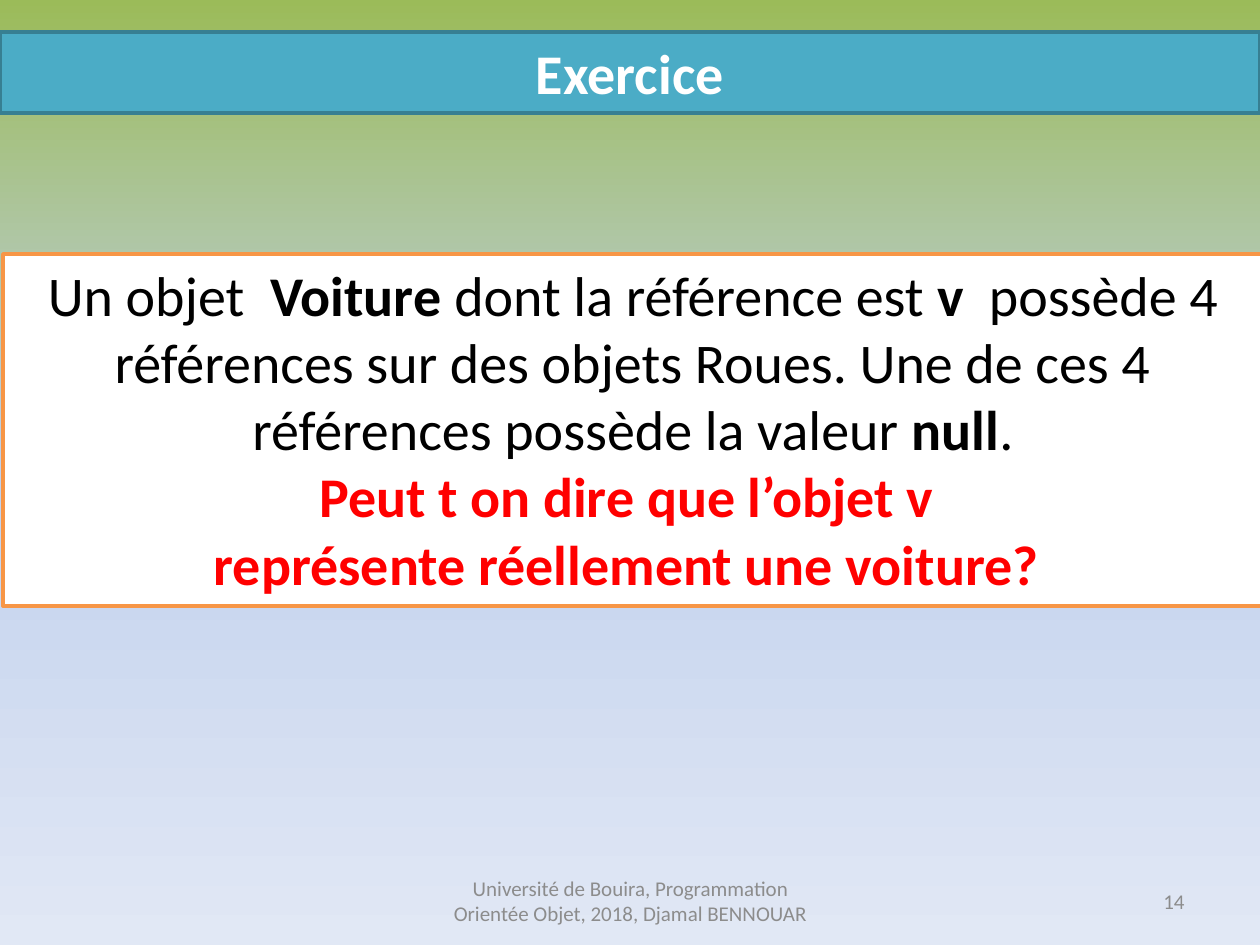
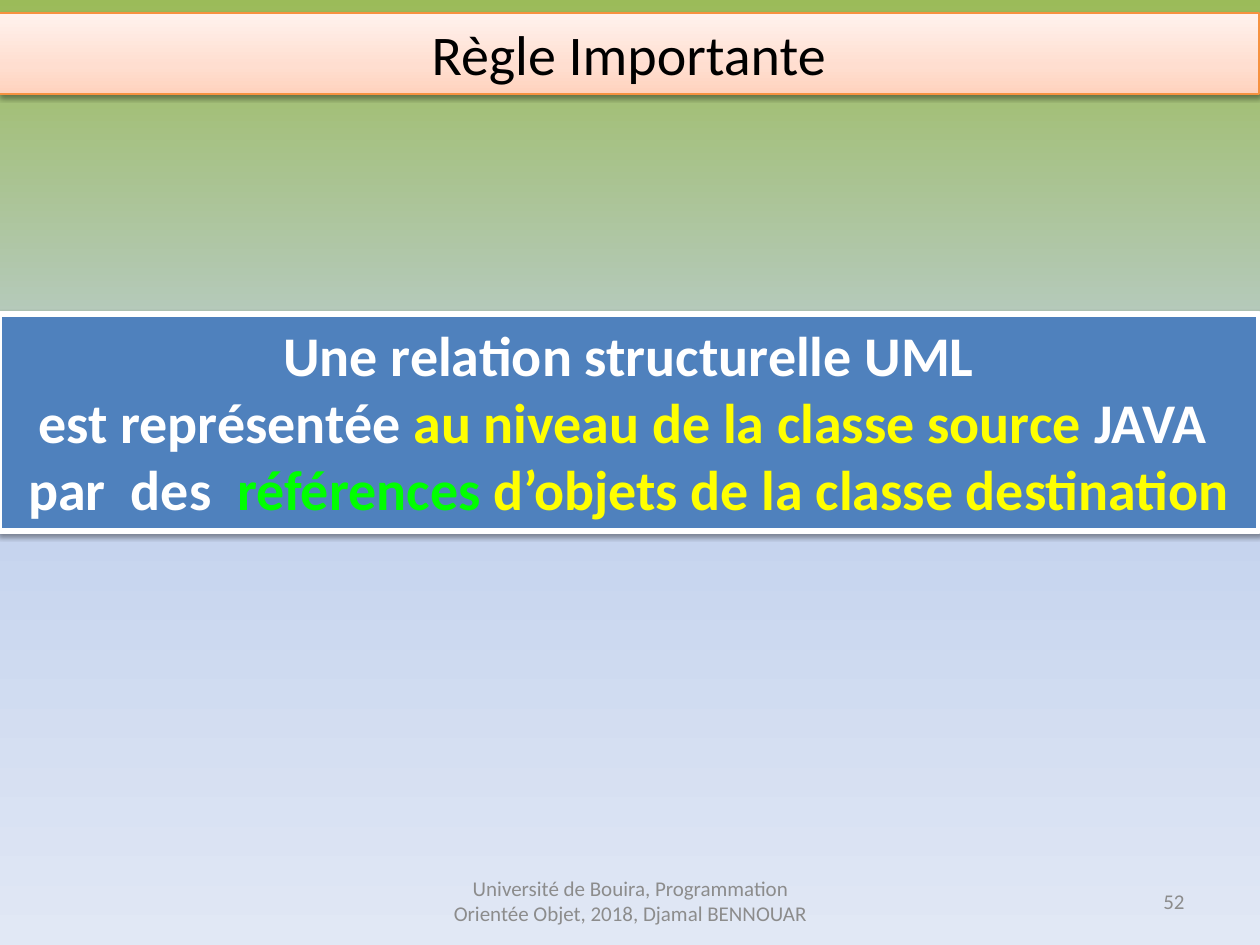
from lxml.etree import SubElement
from pptx import Presentation
from pptx.dml.color import RGBColor
from pptx.enum.shapes import MSO_SHAPE
from pptx.enum.text import MSO_ANCHOR, MSO_AUTO_SIZE, PP_ALIGN
from pptx.oxml.ns import qn
from pptx.util import Emu, Pt

WIDTH, HEIGHT = 1260, 945
BAND_HEIGHT = 81
COLORS = {
    "black": "000000", "white": "FFFFFF", "grey": "8C8C8C",
    "red": "FF0000", "yellow": "FFFF00", "green": "00FF00",
    "teal": "4BACC6", "dark teal": "377F92", "blue": "4F81BD",
    "orange": "F79646", "bright orange": "F69240",
    "meadow": "9BBB59", "sky": "C2D1ED", "mist": "E1E8F5",
    "peach": "FFD2BD", "light peach": "FFDED0", "cream": "FFF2ED",
}
BACKGROUND = [(0, "meadow"), (50, "sky"), (100, "mist")]
PEACH_BAND = [(0, "peach"), (35, "light peach"), (100, "cream")]
FOOTER = "Université de Bouira, Programmation Orientée Objet, 2018, Djamal BENNOUAR"


def px(length):
    return Emu(round(length * 914400 / 126))


def rgb(name):
    return RGBColor.from_string(COLORS[name])


class Deck:
    font = "Calibri"
    text_size = 32
    footer_size = 12

    def __init__(self):
        self.presentation = Presentation()
        self.presentation.slide_width = px(WIDTH)
        self.presentation.slide_height = px(HEIGHT)
        self.page = None

    def add_page(self, number):
        self.page = self.presentation.slides.add_slide(self.presentation.slide_layouts[6])
        self.gradient(self.page.background.fill, self.page.element, BACKGROUND, 270)
        self.footer(431, 399, FOOTER, PP_ALIGN.CENTER)
        self.footer(903, 294, str(number), PP_ALIGN.RIGHT)

    def gradient(self, fill, element, stops, angle):
        """Fill with (percent, colour) stops; the angle runs counter-clockwise."""
        fill.gradient()
        fill.gradient_angle = angle
        stop_list = element.find(".//" + qn("a:gsLst"))
        stop_list.clear()
        for percent, color in stops:
            stop = SubElement(stop_list, qn("a:gs"), pos=str(percent * 1000))
            SubElement(stop, qn("a:srgbClr"), val=COLORS[color])

    def shadow(self, box):
        effects = box.element.spPr.find(qn("a:effectLst"))
        outer = SubElement(effects, qn("a:outerShdw"), blurRad="40000", dist="20000",
                           dir="5400000", rotWithShape="0")
        color = SubElement(outer, qn("a:srgbClr"), val=COLORS["black"])
        SubElement(color, qn("a:alpha"), val="38000")

    def footer(self, left, width, text, align):
        box = self.page.shapes.add_textbox(px(left), px(876), px(width), px(50))
        frame = box.text_frame
        frame.word_wrap = True
        frame.vertical_anchor = MSO_ANCHOR.MIDDLE
        self.paragraph(frame.paragraphs[0], [(text,)], align, self.footer_size, "grey")

    def paragraph(self, para, spans, align, size, color, bold=False):
        """Write spans given as (text, font attributes that differ)."""
        para.alignment = align
        para.font.name = self.font
        para.font.size = Pt(size)
        para.font.bold = bold
        para.font.color.rgb = rgb(color)
        for text, *changes in spans:
            span = para.add_run()
            span.text = text
            for change in changes:
                if change == "bold":
                    span.font.bold = True
                else:
                    span.font.color.rgb = rgb(change)

    def panel(self, left, top, height, fill, line, line_width, lines, shadow=False):
        """Draw a full-width box; each line is (colour, bold, spans)."""
        box = self.page.shapes.add_shape(
            MSO_SHAPE.RECTANGLE, px(left), px(top), px(WIDTH), px(height))
        box.shadow.inherit = False
        if isinstance(fill, list):
            self.gradient(box.fill, box.element, fill, 90)
        else:
            box.fill.solid()
            box.fill.fore_color.rgb = rgb(fill)
        box.line.color.rgb = rgb(line)
        box.line.width = Pt(line_width)
        if shadow:
            self.shadow(box)
        frame = box.text_frame
        frame.word_wrap = True
        frame.auto_size = MSO_AUTO_SIZE.SHAPE_TO_FIT_TEXT
        frame.vertical_anchor = MSO_ANCHOR.TOP
        for index, (color, bold, spans) in enumerate(lines):
            para = frame.add_paragraph() if index else frame.paragraphs[0]
            self.paragraph(para, spans, PP_ALIGN.CENTER, self.text_size, color, bold)


def exercise(deck):
    deck.add_page(14)
    deck.panel(0, 32, BAND_HEIGHT, "teal", "dark teal", 2,
               [("white", True, [("Exercice",)])])
    deck.panel(3, 254, 352, "white", "orange", 2, [
        ("black", False, [
            ("Un objet  ",), ("Voiture", "bold"), (" dont la référence est ",), ("v", "bold"),
            ("  possède 4 références sur des objets Roues. "
             "Une de ces 4 références possède la valeur ",),
            ("null", "bold"), (".",)]),
        ("red", True, [("Peut t on dire que l’objet v ",)]),
        ("red", True, [("représente réellement une voiture? ",)]),
    ])


def important_rule(deck):
    deck.add_page(52)
    deck.panel(-1, 13, BAND_HEIGHT, PEACH_BAND, "bright orange", 0.75,
               [("black", False, [("Règle Importante",)])], shadow=True)
    deck.panel(-1, 314, 217, "blue", "white", 3, [
        ("white", True, [("Une relation structurelle UML",)]),
        ("white", True, [("est représentée ",),
                         ("au niveau de la classe source ", "yellow"), ("JAVA ",)]),
        ("white", True, [("par  des  ",), ("références ", "green"),
                         ("d’objets de la classe destination", "yellow")]),
    ], shadow=True)


def main():
    deck = Deck()
    exercise(deck)
    important_rule(deck)
    deck.presentation.save("out.pptx")


if __name__ == "__main__":
    main()
